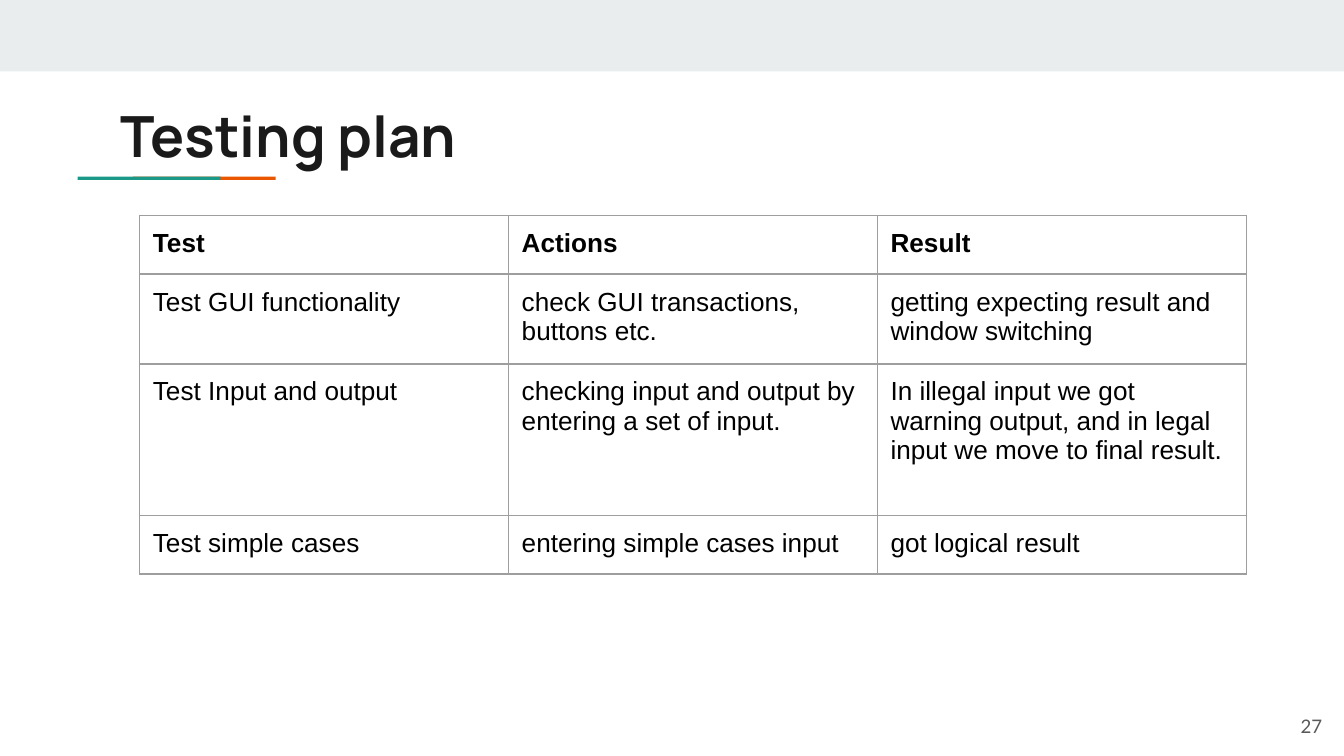
from lxml.etree import SubElement
from pptx import Presentation
from pptx.dml.color import RGBColor
from pptx.enum.shapes import MSO_SHAPE as Shape
from pptx.enum.text import MSO_ANCHOR as Anchor, PP_ALIGN as Align
from pptx.oxml.ns import qn
from pptx.util import Cm, Pt

INSET = Cm(0.25)
ROW_HEIGHTS = (1.1, 1.7, 2.87, 1.1)
COLUMN_WIDTH = 6.97
TESTS = (
    ("Test", "Actions", "Result"),
    ("Test GUI functionality", "check GUI transactions, buttons etc.",
     "getting expecting result and window switching"),
    ("Test Input and output", "checking input and output by entering a set of input.",
     "In illegal input we got warning output, and in legal input we move to final result."),
    ("Test simple cases", "entering simple cases input", "got logical result"),
)


def color(value):
    """Turn a hex string into a color."""
    return RGBColor.from_string(value)


def style_font(paragraph, name, size, value, bold=False):
    """Set the font of a whole paragraph."""
    font = paragraph.font
    font.name, font.size, font.bold = name, Pt(size), bold
    font.color.rgb = color(value)


def set_insets(target):
    """Give a text frame or cell equal margins."""
    target.margin_left = target.margin_right = INSET
    target.margin_top = target.margin_bottom = INSET


def add_bar(slide, left, top, width, height, fill):
    """Add a plain filled rectangle."""
    bar = slide.shapes.add_shape(Shape.RECTANGLE, Cm(left), Cm(top), Cm(width), Cm(height))
    bar.shadow.inherit = False
    bar.fill.solid()
    bar.fill.fore_color.rgb = color(fill)
    bar.line.fill.background()


def add_text(slide, text, left, top, width, height, anchor=Anchor.TOP):
    """Add a text box and return its paragraph."""
    box = slide.shapes.add_textbox(Cm(left), Cm(top), Cm(width), Cm(height))
    frame = box.text_frame
    frame.word_wrap = True
    frame.vertical_anchor = anchor
    set_insets(frame)
    paragraph = frame.paragraphs[0]
    paragraph.text = text
    return paragraph


def set_borders(cell, value, width):
    """Draw a solid line on all four sides of a cell."""
    properties = cell._tc.get_or_add_tcPr()
    for index, side in enumerate(("lnL", "lnR", "lnT", "lnB")):
        line = properties.makeelement(qn(f"a:{side}"), {"w": str(Pt(width))})
        properties.insert(index, line)
        fill = SubElement(line, qn("a:solidFill"))
        SubElement(fill, qn("a:srgbClr"), val=value)


def add_test_table(slide, left, top):
    """Add the table of tests, actions and results."""
    columns = len(TESTS[0])
    table = slide.shapes.add_table(
        len(TESTS), columns, Cm(left), Cm(top),
        Cm(columns * COLUMN_WIDTH), Cm(sum(ROW_HEIGHTS))).table
    table.horz_banding = False
    for column in table.columns:
        column.width = Cm(COLUMN_WIDTH)
    for row, height, texts in zip(table.rows, ROW_HEIGHTS, TESTS):
        row.height = Cm(height)
        for cell, text in zip(row.cells, texts):
            cell.text = text
            cell.fill.background()
            set_insets(cell)
            set_borders(cell, "9E9E9E", 0.75)
            style_font(cell.text_frame.paragraphs[0], "Arial", 14, "000000",
                       bold=texts is TESTS[0])


def main():
    """Build the testing plan slide."""
    presentation = Presentation()
    presentation.slide_width, presentation.slide_height = Cm(25.4), Cm(14.29)
    slide = presentation.slides.add_slide(presentation.slide_layouts[6])

    add_bar(slide, 0, 0, 25.4, 1.35, "E9EDEE")
    add_bar(slide, 2.51, 3.34, 2.7, 0.06, "EB5600")
    add_bar(slide, 1.47, 3.34, 2.7, 0.06, "1A9988")

    title = add_text(slide, "Testing plan", 2.03, 1.75, 21.36, 1.5)
    title.line_spacing = 0.95
    style_font(title, "Manrope", 30.4, "1A1A1A", bold=True)

    add_test_table(slide, 2.64, 4.08)

    number = add_text(slide, "27", 23.72, 13.18, 1.52, 1.09, Anchor.MIDDLE)
    number.alignment = Align.RIGHT
    style_font(number, "Lato", 10, "595959")

    presentation.save("out.pptx")


if __name__ == "__main__":
    main()
